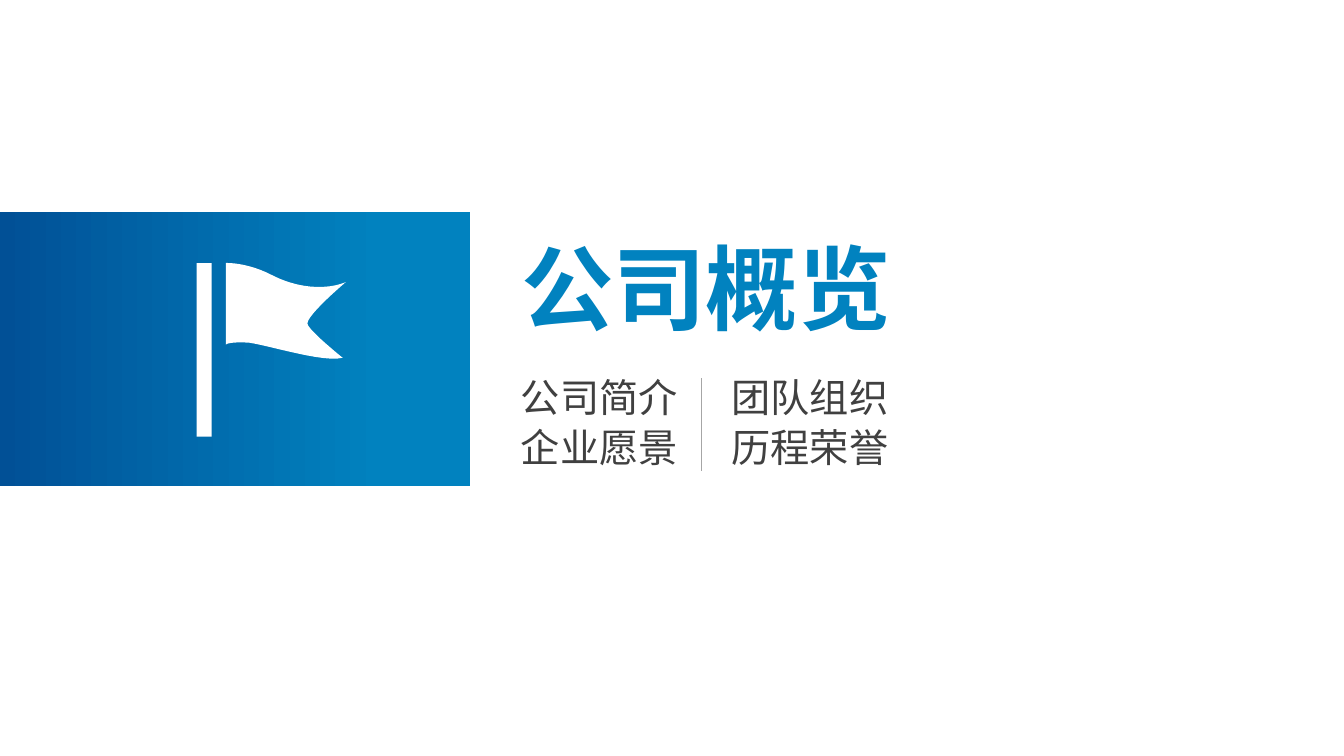
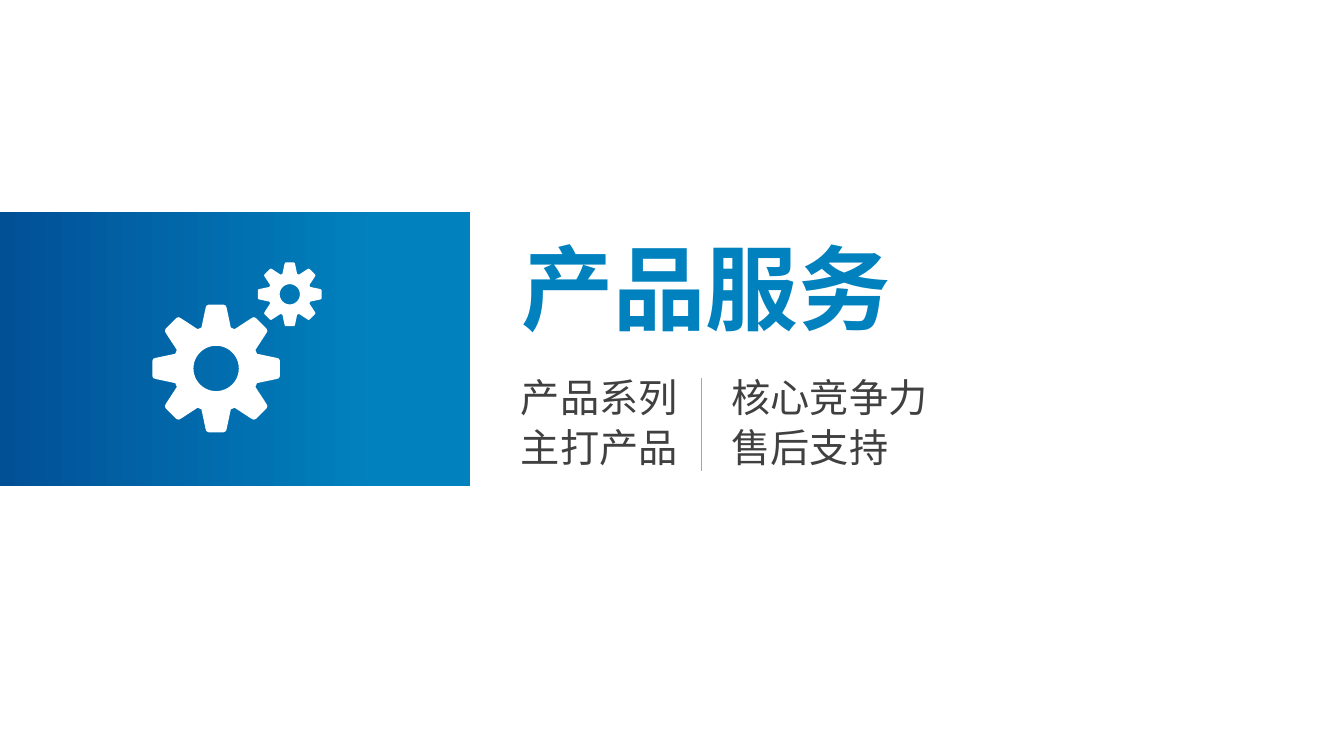
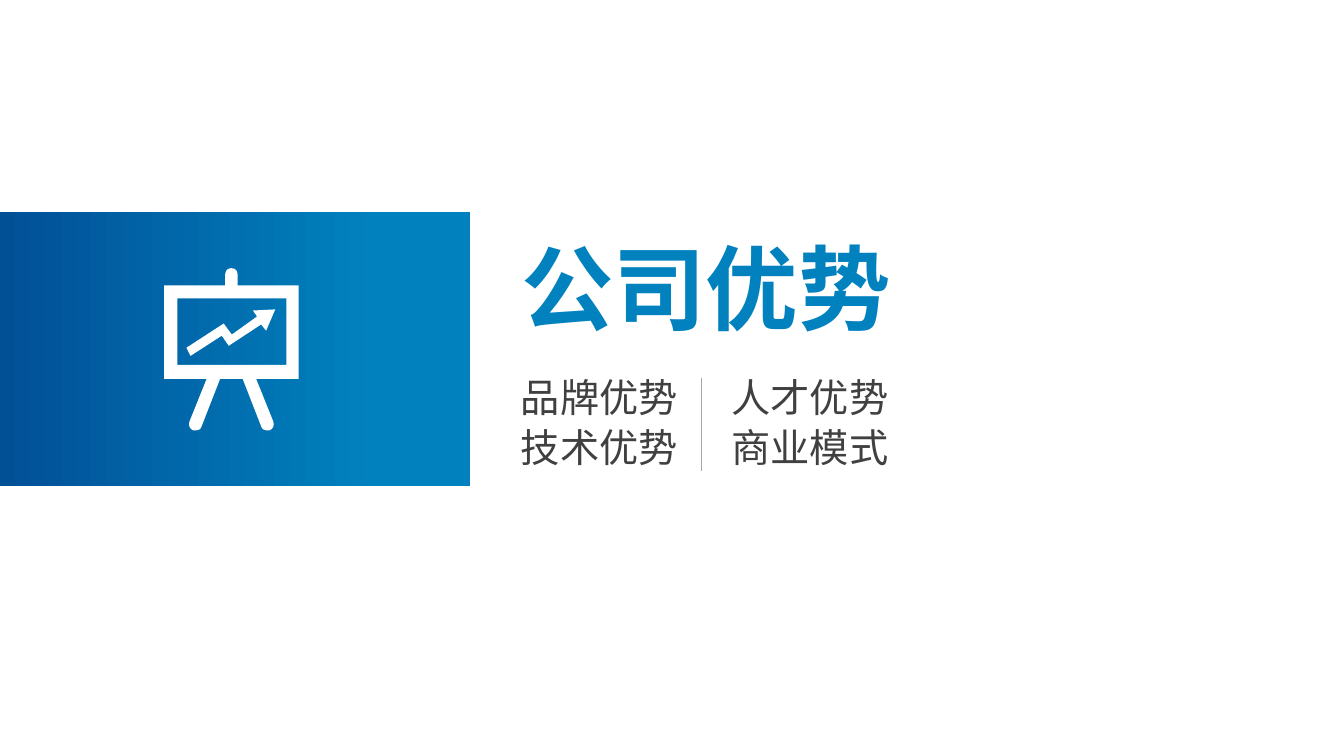
import math

from lxml import etree
from pptx import Presentation
from pptx import util as u
from pptx.dml.color import RGBColor
from pptx.enum import shapes, text
from pptx.oxml.ns import qn

COLORS = {
    "navy": "015096",
    "blue": "0182BF",
    "body": "404040",
    "rule": "A6A6A6",
    "white": "FFFFFF",
}
FONT = "Noto Sans CJK SC"
BAND = (0, 151.2, 336, 196)
CONTENT = (365, 161.3, 295, 190)


def color(name):
    """Return a named colour."""
    return RGBColor.from_string(COLORS[name])


def place(shape, left, top, width, height):
    """Set the position and size of a shape in points."""
    shape.left, shape.top = u.Pt(left), u.Pt(top)
    shape.width, shape.height = u.Pt(width), u.Pt(height)


def write(box, words, size, tint, bold=False):
    """Fill a box with one left-aligned line of styled text."""
    frame = box.text_frame
    frame.text = words
    frame.word_wrap = True
    frame.auto_size = text.MSO_AUTO_SIZE.SHAPE_TO_FIT_TEXT
    frame.vertical_anchor = text.MSO_ANCHOR.TOP
    para = frame.paragraphs[0]
    para.alignment = text.PP_ALIGN.LEFT
    font = para.font
    font.size, font.bold, font.name = u.Pt(size), bold, FONT
    font.color.rgb = color(tint)
    defaults = para._p.pPr.find(qn("a:defRPr"))
    etree.SubElement(defaults, qn("a:ea"), typeface=FONT)


def paint_white(shape):
    """Make a shape plain white, without line or shadow."""
    shape.fill.solid()
    shape.fill.fore_color.rgb = color("white")
    shape.line.fill.background()
    shape.shadow.inherit = False


def curve(start, first, second, end, steps=12):
    """Return points along a cubic curve, both ends included."""
    points = []
    for step in range(steps + 1):
        t = step / steps
        weights = ((1 - t) ** 3, 3 * t * (1 - t) ** 2, 3 * t * t * (1 - t), t ** 3)
        points.append(tuple(
            sum(weight * value for weight, value in zip(weights, values))
            for values in zip(start, first, second, end)))
    return points


def draw_outline(page, box, *contours):
    """Draw closed white contours, given in points relative to a box."""
    left, top = box[:2]
    builder = None
    for contour in contours:
        points = [(u.Pt(left + x), u.Pt(top + y)) for x, y in contour]
        if builder is None:
            builder = page.shapes.build_freeform(*points[0])
        else:
            builder.move_to(*points[0])
        builder.add_line_segments(points[1:], close=True)
    paint_white(builder.convert_to_shape())


def flag_icon(page, box):
    """Draw a waving flag beside its pole."""
    cloth = (
        curve((219.6, 79.9), (219.6, 73.4), (247, 50.4), (247, 50.4))
        + curve((247, 50.4), (232.6, 56.2), (212.4, 54.7), (194.4, 45.4))
        + curve((194.4, 45.4), (176.4, 36), (161.3, 36.7), (161.3, 36.7))
        + curve((161.3, 95), (162, 94.3), (165.6, 92.9), (177.8, 93.6))
        + curve((177.8, 93.6), (193, 95.8), (231.1, 108), (244.8, 104.4))
        + curve((244.8, 104.4), (244.8, 104.4), (219.6, 84.2), (219.6, 79.9)))
    draw_outline(page, box, cloth)
    pole = page.shapes.add_shape(shapes.MSO_SHAPE.RECTANGLE, 0, 0, 0, 0)
    place(pole, box[0] + 140.4, box[1] + 36.7, 10.8, 124)
    paint_white(pole)


def draw_gear(page, box, center, scale, hole):
    """Draw an eight-toothed gear with a round hole."""
    side = [(-10.5, -29.2), (-7.6, -42.9), (-7, -44.8), (-5.4, -45.6)]
    tooth = side + [(-x, y) for x, y in reversed(side)]
    rim = []
    for index in range(8):
        cos, sin = math.cos(index * math.pi / 4), math.sin(index * math.pi / 4)
        rim += [(center[0] + scale * (x * cos - y * sin),
                 center[1] + scale * (x * sin + y * cos)) for x, y in tooth]
    angles = [index * math.tau / 48 for index in range(48)]
    bore = [(center[0] + hole * math.cos(angle), center[1] - hole * math.sin(angle))
            for angle in angles]
    draw_outline(page, box, rim, bore)


def gears_icon(page, box):
    """Draw a small gear above a large one."""
    draw_gear(page, box, (207, 59), 0.5, 7.2)
    draw_gear(page, box, (154.4, 112), 1, 16.2)


def board_icon(page, box):
    """Draw an easel board that shows a rising arrow."""
    axis = 165.3
    half = (
        curve((axis, 40.4), (162.7, 40.4), (160.9, 42.2), (160.9, 45))
        + [(160.9, 52.6), (117.2, 52.6), (117.2, 119.5), (147.6, 119.5)]
        + curve((135.4, 149.8), (134.6, 152.6), (135.4, 155.2), (138.2, 156.2))
        + curve((139.7, 156.2), (141.8, 156.2), (143.3, 155.5), (144, 153.4))
        + [(157.2, 119.5)])
    easel = half + [(2 * axis - x, y) for x, y in reversed(half)]
    window = [(126.7, 61.9), (126.7, 109.4), (204.5, 109.4), (204.5, 61.9)]
    draw_outline(page, box, easel, window)
    arrow = [(136.1, 103), (158.4, 88.6), (163.4, 95.8), (186.5, 80.6),
             (190.1, 85), (196.6, 69.8), (180.7, 70.6), (183.6, 74.9),
             (165.6, 87.8), (159.8, 79.9), (133.2, 97.2)]
    draw_outline(page, box, arrow)


def add_band(page, box):
    """Add the blue gradient band."""
    band = page.shapes.add_shape(shapes.MSO_SHAPE.RECTANGLE, 0, 0, 0, 0)
    place(band, *box)
    band.fill.gradient()
    band.fill.gradient_angle = 0
    stops = zip(band.fill.gradient_stops, ("navy", "blue"), (0, 0.81))
    for stop, name, position in stops:
        stop.color.rgb = color(name)
        stop.position = position
    band.line.fill.background()
    band.shadow.inherit = False


def add_content(page, box, heading, topics):
    """Add the heading and two columns of topics with a divider."""
    left, top, width, _ = box
    title = page.shapes.title
    place(title, left, top, width, 87)
    write(title, heading, 66, "blue", bold=True)
    for index, topic in enumerate(topics):
        column, row = divmod(index, 2)
        label = page.shapes.add_textbox(0, 0, 0, 0)
        place(label, left + 150.5 * column, top + 101.5 + 36 * row, 187, 41)
        write(label, topic, 28, "body")
    x = u.Pt(left + 136)
    divider = page.shapes.add_connector(
        shapes.MSO_CONNECTOR.STRAIGHT, x, u.Pt(top + 108.7), x, u.Pt(top + 175))
    divider.line.color.rgb = color("rule")
    divider.line.width = u.Pt(0.5)
    etree.SubElement(divider._element.spPr, qn("a:effectLst"))


def add_section(deck, heading, topics, draw_icon):
    """Add one section slide."""
    page = deck.slides.add_slide(deck.slide_layouts[5])
    add_band(page, BAND)
    draw_icon(page, BAND)
    add_content(page, CONTENT, heading, topics)


def main():
    """Build and save the deck."""
    deck = Presentation()
    deck.slide_width, deck.slide_height = u.Pt(960), u.Pt(540)
    sections = [
        ("公司概览", ("公司简介", "企业愿景", "团队组织", "历程荣誉"), flag_icon),
        ("产品服务", ("产品系列", "主打产品", "核心竞争力", "售后支持"), gears_icon),
        ("公司优势", ("品牌优势", "技术优势", "人才优势", "商业模式"), board_icon),
    ]
    for section in sections:
        add_section(deck, *section)
    deck.save("out.pptx")


if __name__ == "__main__":
    main()
